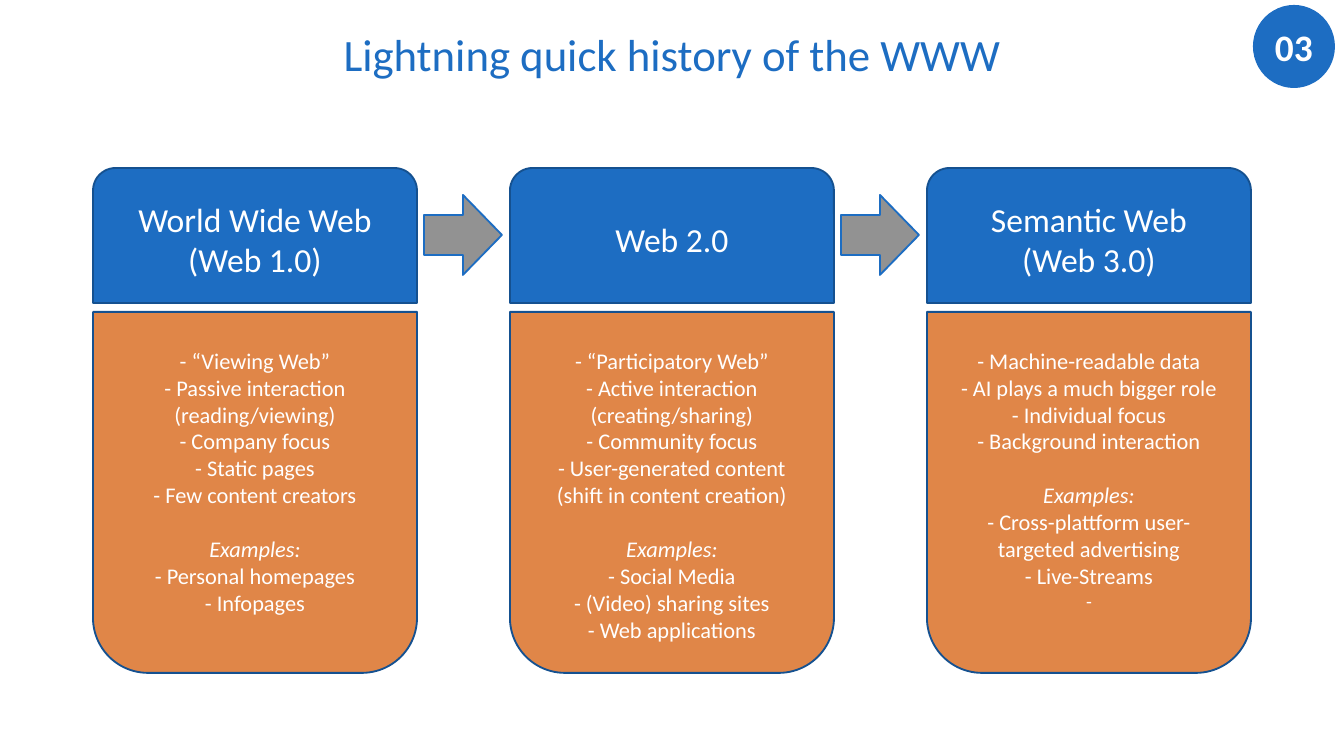
from dataclasses import dataclass

from pptx import Presentation
from pptx.dml.color import RGBColor
from pptx.enum.shapes import MSO_SHAPE
from pptx.enum.text import MSO_ANCHOR, MSO_AUTO_SIZE, PP_ALIGN
from pptx.util import Pt

ROUND_TOP = MSO_SHAPE.ROUND_2_SAME_RECTANGLE
ARROW = MSO_SHAPE.RIGHT_ARROW
OVAL = MSO_SHAPE.OVAL
CENTER = PP_ALIGN.CENTER
TOP, MIDDLE = MSO_ANCHOR.TOP, MSO_ANCHOR.MIDDLE
NO_AUTOSIZE = MSO_AUTO_SIZE.NONE
TITLE_ONLY = 5

PAGE_WIDTH, PAGE_HEIGHT = 1344, 756
EMU_PER_PX = 9144000 / PAGE_WIDTH


@dataclass(frozen=True)
class Theme:
    font: str = "Calibri"
    blue: str = "1D6DC2"
    dark_blue: str = "155190"
    orange: str = "E08648"
    gray: str = "929292"
    white: str = "FFFFFF"
    title_size: float = 24
    badge_size: float = 20
    heading_size: float = 18
    body_size: float = 12
    small_size: float = 10.2
    section_gap: float = 14.5


THEME = Theme()

CARD_LEFT, CARD_TOP, CARD_WIDTH, CARD_HEIGHT = 93, 168, 324, 505
CARD_PITCH = 417
HEADER_HEIGHT, HEADER_GAP = 135, 9

ERAS = [
    (["World Wide Web", "(Web 1.0)"],
     ["- “Viewing Web”", "- Passive interaction (reading/viewing)",
      "- Company focus", "- Static pages", "- Few content creators"],
     ["- Personal homepages", "- Infopages"]),
    (["Web 2.0"],
     ["- “Participatory Web”", "- Active interaction (creating/sharing)",
      "- Community focus",
      "- User-generated content (shift in content creation)"],
     ["- Social Media", "- (Video) sharing sites", "- Web applications"]),
    (["Semantic Web", "(Web 3.0)"],
     ["- Machine-readable data", "- AI plays a much bigger role",
      "- Individual focus", "- Background interaction"],
     ["- Cross-plattform user-targeted advertising", "- Live-Streams", "-"]),
]


def px(length):
    return round(length * EMU_PER_PX)


def color(value):
    return RGBColor.from_string(value)


def add_box(page, kind, box, fill, line=None):
    shape = page.shapes.add_shape(kind, *map(px, box))
    shape.shadow.inherit = False
    shape.fill.solid()
    shape.fill.fore_color.rgb = color(fill)
    if line:
        shape.line.color.rgb = color(line)
        shape.line.width = Pt(1)
    else:
        shape.line.fill.background()
    return shape


def add_text(frame, text, size, ink=THEME.white, bold=False, italic=False,
             space_before=0):
    """Fill the frame's first paragraph, or append one once it has text."""
    para = frame.add_paragraph() if frame.text else frame.paragraphs[0]
    para.alignment = CENTER
    para.space_before = Pt(space_before)
    span = para.add_run()
    span.text = text
    span.font.name = THEME.font
    span.font.size = Pt(size)
    span.font.color.rgb = color(ink)
    span.font.bold = bold
    span.font.italic = italic


def place_title(page, box, text):
    title = page.shapes.title
    title.left, title.top, title.width, title.height = map(px, box)
    frame = title.text_frame
    frame.auto_size = NO_AUTOSIZE
    frame.vertical_anchor = TOP
    add_text(frame, text, THEME.title_size, ink=THEME.blue)


def add_badge(page, box, text):
    frame = add_box(page, OVAL, box, THEME.blue).text_frame
    frame.word_wrap = False
    frame.vertical_anchor = MIDDLE
    add_text(frame, text, THEME.badge_size, bold=True)


def add_card(page, box, heading, traits, examples):
    left, top, width, height = box
    header = add_box(page, ROUND_TOP, (left, top, width, HEADER_HEIGHT),
                     THEME.blue, THEME.dark_blue)
    header.text_frame.vertical_anchor = MIDDLE
    for line in heading:
        add_text(header.text_frame, line, THEME.heading_size)

    offset = HEADER_HEIGHT + HEADER_GAP
    body = add_box(page, ROUND_TOP, (left, top + offset, width, height - offset),
                   THEME.orange, THEME.dark_blue)
    body.adjustments[0] = 0
    body.adjustments[1] = 0.17
    frame = body.text_frame
    frame.vertical_anchor = TOP
    frame.margin_top = px(35)
    for trait in traits:
        add_text(frame, trait, THEME.body_size)
    add_text(frame, "Examples:", THEME.body_size, italic=True,
             space_before=THEME.section_gap)
    for example in examples:
        size = THEME.small_size if example == "-" else THEME.body_size
        add_text(frame, example, size)


def add_timeline(page, box):
    left, top, width, height = box
    for index, era in enumerate(ERAS):
        card_left = left + index * CARD_PITCH
        if index:
            add_box(page, ARROW, (card_left - 86, top + 27, 78, 80),
                    THEME.gray, THEME.blue)
        add_card(page, (card_left, top, width, height), *era)


def main():
    deck = Presentation()
    deck.slide_width, deck.slide_height = px(PAGE_WIDTH), px(PAGE_HEIGHT)
    page = deck.slides.add_slide(deck.slide_layouts[TITLE_ONLY])
    place_title(page, (0, 20, PAGE_WIDTH, 67), "Lightning quick history of the WWW")
    add_timeline(page, (CARD_LEFT, CARD_TOP, CARD_WIDTH, CARD_HEIGHT))
    add_badge(page, (1253, 5, 82, 83), "03")
    deck.save("out.pptx")


if __name__ == "__main__":
    main()
